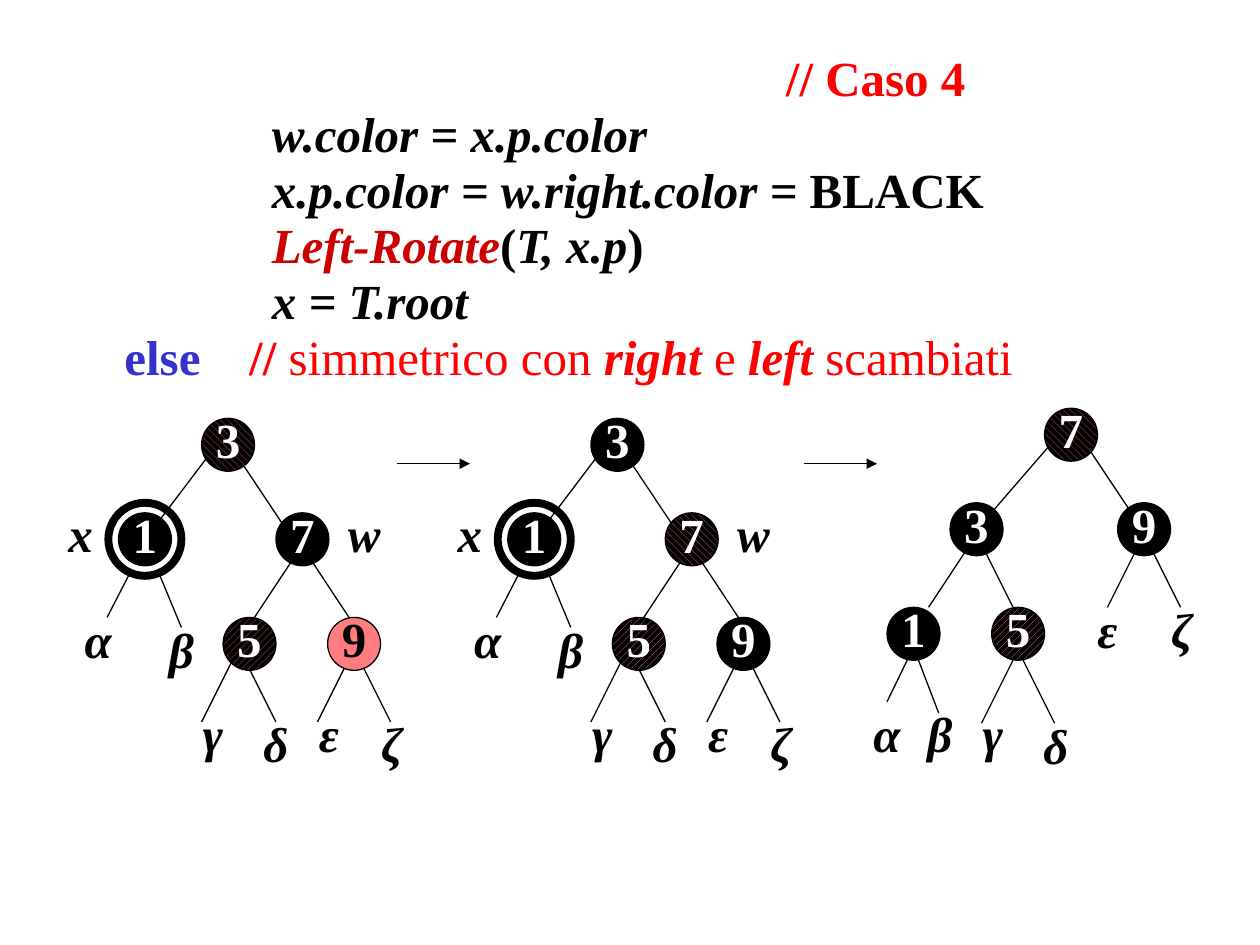
from dataclasses import dataclass

from lxml import etree
from pptx import Presentation
from pptx import util as u
from pptx.dml.color import RGBColor
from pptx.enum import dml, shapes, text
from pptx.oxml.ns import qn


@dataclass(frozen=True)
class Theme:
    font: str = "Times New Roman"
    size: int = 28
    thin: float = 0.75
    thick: float = 4.5
    black: str = "000000"
    white: str = "FFFFFF"
    pink: str = "FF7C80"
    comment: str = "FF0000"
    call: str = "CC0000"
    keyword: str = "3333CC"


THEME = Theme()
DOWN = dml.MSO_PATTERN.WIDE_DOWNWARD_DIAGONAL
UP = dml.MSO_PATTERN.WIDE_UPWARD_DIAGONAL
NODE, RING = 0.42, 0.58
ITALIC = {"italic": True}
RED = {"color": THEME.comment}
PLAIN_RED = {**RED, "bold": False}
ITALIC_RED = {**RED, **ITALIC}

CODE = [
    (5.83, 0, [("// Caso 4", RED)]),
    (1.75, 0, [("w.color = x.p.color", ITALIC)]),
    (1.75, 0, [("x.p.color = w.right.color = ", ITALIC), ("BLACK", {})]),
    (1.75, 0, [("Left-Rotate", {**ITALIC, "color": THEME.call}), ("(", {}),
               ("T, x.p", ITALIC), (")", {})]),
    (1.75, 0, [("x = T.root", ITALIC)]),
    (1.57, -0.99, [("else\t", {"color": THEME.keyword}), ("// ", RED),
                   ("simmetrico con ", PLAIN_RED), ("right ", ITALIC_RED),
                   ("e ", PLAIN_RED), ("left ", ITALIC_RED),
                   ("scambiati", PLAIN_RED)]),
]

START_EDGES = [
    (1.02, 4.57, 0.85, 4.9), (2.35, 4.4, 2.02, 4.9), (2.44, 4.4, 2.77, 4.9),
    (1.27, 4.57, 1.44, 4.98), (1.69, 3.57, 1.19, 4.23), (1.85, 3.57, 2.35, 4.32),
    (1.85, 5.23, 1.6, 5.73), (1.94, 5.23, 2.19, 5.73),
    (2.77, 5.23, 2.52, 5.73), (2.85, 5.23, 3.1, 5.73),
]
START_NODES = {"1": (0.94, 4.07), "7": (2.19, 4.07), "3": (1.6, 3.32),
               "5": (1.77, 4.9), "9": (2.6, 4.9)}
START_LABELS = {"x": (0.64, 3.98), "w": (2.89, 3.98), "α": (0.78, 4.82),
                "β": (1.44, 4.9), "γ": (1.69, 5.57), "δ": (2.19, 5.65),
                "ε": (2.61, 5.57), "ζ": (3.11, 5.65)}
FINAL_EDGES = [
    (7.2, 5.24, 7.04, 5.57), (7.7, 4.32, 7.37, 4.82), (7.79, 4.32, 8.04, 4.82),
    (7.29, 5.24, 7.45, 5.66), (8.37, 3.49, 7.79, 4.16), (8.54, 3.41, 9.04, 4.16),
    (8.04, 5.24, 7.79, 5.74), (8.12, 5.24, 8.37, 5.74),
    (9.04, 4.32, 8.79, 4.82), (9.12, 4.32, 9.37, 4.82),
]
FINAL_NODES = {"1": (7.04, 4.82), "7": (8.29, 3.24), "3": (7.54, 3.99),
               "5": (7.87, 4.82), "9": (8.87, 3.99)}
FINAL_LABELS = {"α": (7.04, 5.57), "β": (7.46, 5.57), "γ": (7.88, 5.57),
                "δ": (8.38, 5.66), "ε": (8.79, 4.74), "ζ": (9.38, 4.74)}


class Painter:
    def __init__(self, theme, slide):
        self.theme = theme
        self.slide = slide
        self.shapes = slide.shapes

    def group(self):
        self.shapes = self.slide.shapes.add_group_shape().shapes

    def span(self, para, words, color=None, **changes):
        span = para.add_run()
        span.text = words
        values = {"name": self.theme.font, "size": u.Pt(self.theme.size),
                  "bold": True, "italic": False, **changes}
        for name, value in values.items():
            setattr(span.font, name, value)
        span.font.color.rgb = RGBColor.from_string(color or self.theme.black)

    def centre(self, box, words, spacing=1.0, **changes):
        frame = box.text_frame
        frame.word_wrap = False
        frame.vertical_anchor = text.MSO_ANCHOR.MIDDLE
        para = frame.paragraphs[0]
        para.alignment = text.PP_ALIGN.CENTER
        para.line_spacing = spacing
        self.span(para, words, **changes)

    def code(self, left, top, width, height, lines):
        box = self.shapes.add_textbox(*map(u.Inches, (left, top, width, height)))
        frame = box.text_frame
        frame.word_wrap = True
        frame.auto_size = text.MSO_AUTO_SIZE.SHAPE_TO_FIT_TEXT
        for number, (margin, indent, spans) in enumerate(lines):
            para = frame.add_paragraph() if number else frame.paragraphs[0]
            para.line_spacing = 0.95
            properties = para._p.get_or_add_pPr()
            for name, value in {"marL": margin, "indent": indent}.items():
                properties.set(name, str(int(u.Inches(value))))
            for words, changes in spans:
                self.span(para, words, **changes)

    def label(self, words, centre, top):
        width = 0.67
        box = self.shapes.add_textbox(
            *map(u.Inches, (centre - width / 2, top, width, 0.5)))
        self.centre(box, words, italic=True)

    def line(self, x1, y1, x2, y2, arrow=False):
        line = self.shapes.add_connector(
            shapes.MSO_CONNECTOR.STRAIGHT, *map(u.Inches, (x1, y1, x2, y2)))
        self.outline(line, self.theme.thin)
        if arrow:
            etree.SubElement(line.line._get_or_add_ln(), qn("a:tailEnd"),
                             type="triangle")
        etree.SubElement(line._element.spPr, qn("a:effectLst"))

    def outline(self, shape, width):
        shape.line.color.rgb = RGBColor.from_string(self.theme.black)
        shape.line.width = u.Pt(width)

    def circle(self, left, top, size, width):
        circle = self.shapes.add_shape(
            shapes.MSO_SHAPE.OVAL, *map(u.Inches, (left, top, size, size)))
        circle.shadow.inherit = False
        circle.fill.background()
        self.outline(circle, width)
        return circle

    def node(self, key, left, top, fill):
        circle = self.circle(left, top, NODE, self.theme.thin)
        if isinstance(fill, str):
            circle.fill.solid()
            circle.fill.fore_color.rgb = RGBColor.from_string(fill)
        else:
            circle.fill.patterned()
            circle.fill.pattern = fill
            circle.fill.fore_color.rgb = RGBColor.from_string(self.theme.pink)
            circle.fill.back_color.rgb = RGBColor.from_string(self.theme.black)
        ink = self.theme.black if fill == self.theme.pink else self.theme.white
        self.centre(circle, key, spacing=0.8, color=ink)

    def tree(self, edges, nodes, labels, fills, shift=0, ringed=None):
        for x1, y1, x2, y2 in edges:
            self.line(x1 + shift, y1, x2 + shift, y2)
        for key, (left, top) in nodes.items():
            self.node(key, left + shift, top, fills.get(key, self.theme.black))
        if ringed:
            left, top = nodes[ringed]
            margin = (RING - NODE) / 2
            self.circle(left + shift - margin, top - margin, RING, self.theme.thick)
        for words, (centre, top) in labels.items():
            self.label(words, centre + shift, top)


def main():
    deck = Presentation()
    deck.slide_width, deck.slide_height = u.Inches(10), u.Inches(7.5)
    painter = Painter(THEME, deck.slides.add_slide(deck.slide_layouts[6]))
    painter.code(0.31, 0.36, 9.14, 2.79, CODE)
    start = START_EDGES, START_NODES, START_LABELS
    painter.group()
    painter.tree(*start, {"3": DOWN, "5": UP, "9": THEME.pink}, ringed="1")
    painter.group()
    painter.line(3.15, 3.68, 3.73, 3.68, arrow=True)
    painter.tree(*start, {"7": DOWN, "5": UP}, shift=3.09, ringed="1")
    painter.group()
    painter.line(6.38, 3.68, 6.96, 3.68, arrow=True)
    painter.tree(FINAL_EDGES, FINAL_NODES, FINAL_LABELS, {"7": DOWN, "5": UP})
    deck.save("out.pptx")


if __name__ == "__main__":
    main()
